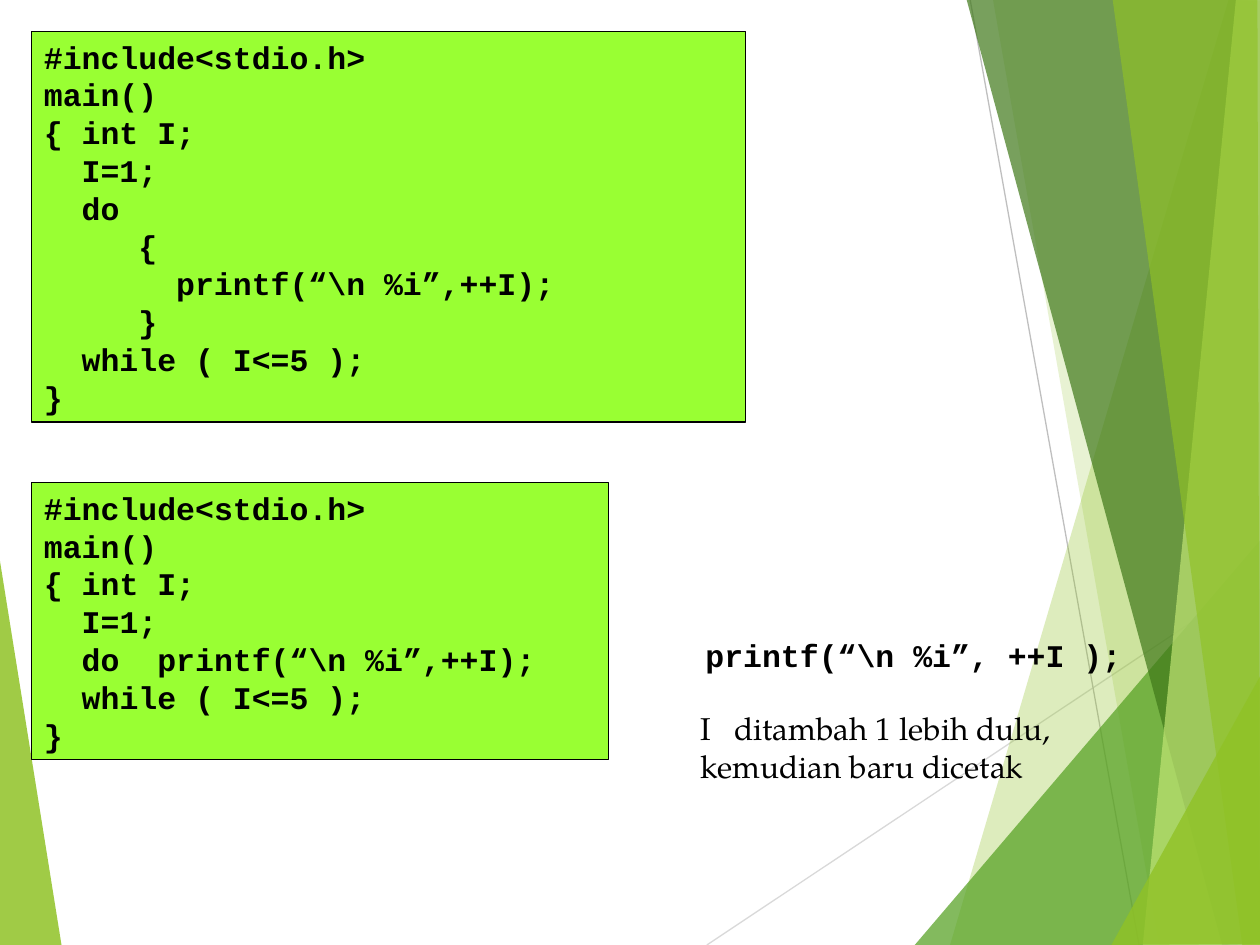
from typing import NamedTuple

from lxml import etree
from pptx import Presentation
from pptx.dml.color import RGBColor
from pptx.enum import shapes, text
from pptx.oxml.ns import qn
from pptx.util import Inches, Pt

Point = tuple[float, float]
CODE = {"name": "Courier New", "size": Pt(18), "bold": True}
PROSE = {"name": "TeX Gyre Pagella", "size": Pt(18), "bold": False}
BLACK = "000000"
LIME = "99FF33"


class Facet(NamedTuple):
    points: list[Point]
    color: str
    opacity: int


class Ray(NamedTuple):
    start: Point
    end: Point
    color: str


class TextBlock(NamedTuple):
    left: float
    top: float
    width: float
    height: float
    lines: list[str]
    font: dict
    boxed: bool = False
    tab: float | None = None


LEFT_FACET = Facet([(-0.01, 4.39), (0.49, 7.51), (-0.01, 7.5)], "90C226", 85)
RAYS = [
    Ray((5.61, 7.5), (10.01, 4.57), "D9D9D9"),
    Ray((7.7, 0), (9.04, 7.5), "BFBFBF"),
]
RIGHT_FACETS = [
    Facet([(9.75, 0), (7.54, 7.5), (10.02, 7.51), (10.01, 0.01)], "90C226", 30),
    Facet([(7.88, -0.01), (9.2, 7.5), (10.01, 7.5), (10.01, -0.01)], "90C226", 20),
    Facet([(7.26, 7.5), (10, 4.29), (10.01, 7.5)], "54A021", 72),
    Facet([(7.67, -0.01), (9.7, 7.5), (10.01, 7.49), (10.01, -0.01)], "3F7819", 70),
    Facet([(9.81, -0.01), (9.07, 7.5), (10.01, 7.5), (10, -0.01)], "C0E474", 70),
    Facet([(8.83, -0.01), (9.86, 7.5), (10, 7.5), (9.98, -0.01)], "90C226", 65),
    Facet([(8.82, 7.5), (10.01, 5.35), (10.01, 7.49)], "90C226", 80),
]

PROGRAM_START = ["#include<stdio.h>", "main()", "{ int I;", "  I=1;"]
PROGRAM_END = ["  while ( I<=5 );", "}"]
BLOCK_LOOP = ["  do", "     {", "       printf(“\\n %i”,++I);", "     }"]
SHORT_LOOP = ["  do  printf(“\\n %i”,++I);"]

TEXT_BLOCKS = [
    TextBlock(0.25, 0.25, 5.67, 3.1,
              PROGRAM_START + BLOCK_LOOP + PROGRAM_END, CODE, boxed=True),
    TextBlock(5.5, 5, 3.5, 0.4, ["printf(“\\n %i”, ++I );"], CODE),
    TextBlock(5.46, 5.58, 3.19, 0.7,
              ["I\tditambah 1 lebih dulu,", "kemudian baru dicetak"], PROSE, tab=0.27),
    TextBlock(0.25, 3.83, 4.58, 2.2,
              PROGRAM_START + SHORT_LOOP + PROGRAM_END, CODE, boxed=True),
]


def paint(color_format, color: str) -> None:
    color_format.rgb = RGBColor.from_string(color)


def fill_solid(shape, color: str) -> None:
    shape.shadow.inherit = False
    shape.fill.solid()
    paint(shape.fill.fore_color, color)


def draw_facet(slide, facet: Facet) -> None:
    start, *others = [(Inches(x), Inches(y)) for x, y in facet.points]
    builder = slide.shapes.build_freeform(*start)
    builder.add_line_segments(others, close=True)
    shape = builder.convert_to_shape()
    fill_solid(shape, facet.color)
    shape.line.fill.background()
    color = shape._element.spPr.find(f"{qn('a:solidFill')}/{qn('a:srgbClr')}")
    etree.SubElement(color, qn("a:alpha"), val=str(facet.opacity * 1000))


def draw_ray(slide, ray: Ray) -> None:
    ends = [Inches(value) for value in ray.start + ray.end]
    connector = slide.shapes.add_connector(shapes.MSO_CONNECTOR.STRAIGHT, *ends)
    connector.line.width = Pt(0.75)
    paint(connector.line.color, ray.color)
    etree.SubElement(connector._element.spPr, qn("a:effectLst"))


def add_tab_stop(paragraph, position: float) -> None:
    tabs = etree.SubElement(paragraph._p.get_or_add_pPr(), qn("a:tabLst"))
    etree.SubElement(tabs, qn("a:tab"), pos=str(Inches(position)), algn="l")


def draw_text(slide, block: TextBlock) -> None:
    bounds = [Inches(value) for value in block[:4]]
    if block.boxed:
        shape = slide.shapes.add_shape(shapes.MSO_SHAPE.RECTANGLE, *bounds)
        fill_solid(shape, LIME)
        shape.line.width = Pt(0.75)
        paint(shape.line.color, BLACK)
    else:
        shape = slide.shapes.add_textbox(*bounds)
    frame = shape.text_frame
    frame.word_wrap = block.boxed
    frame.auto_size = text.MSO_AUTO_SIZE.SHAPE_TO_FIT_TEXT
    frame.vertical_anchor = text.MSO_ANCHOR.TOP
    for index, line in enumerate(block.lines):
        paragraph = frame.add_paragraph() if index else frame.paragraphs[0]
        paragraph.alignment = text.PP_ALIGN.LEFT
        if block.tab and "\t" in line:
            add_tab_stop(paragraph, block.tab)
        run = paragraph.add_run()
        run.text = line
        for name, value in block.font.items():
            setattr(run.font, name, value)
        paint(run.font.color, BLACK)


def main() -> None:
    presentation = Presentation()
    presentation.slide_width = Inches(10)
    presentation.slide_height = Inches(7.5)
    slide = presentation.slides.add_slide(presentation.slide_layouts[6])
    draw_facet(slide, LEFT_FACET)
    for ray in RAYS:
        draw_ray(slide, ray)
    for facet in RIGHT_FACETS:
        draw_facet(slide, facet)
    for block in TEXT_BLOCKS:
        draw_text(slide, block)
    presentation.save("out.pptx")


if __name__ == "__main__":
    main()
